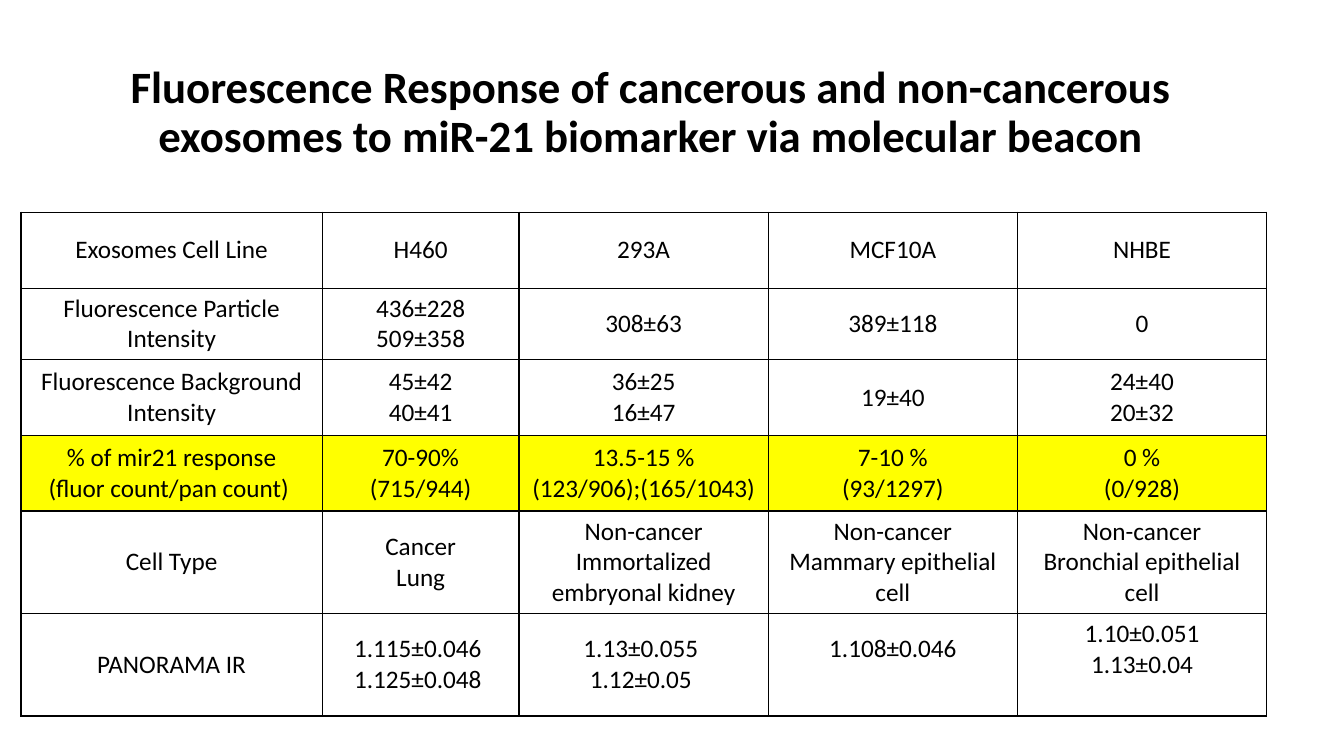
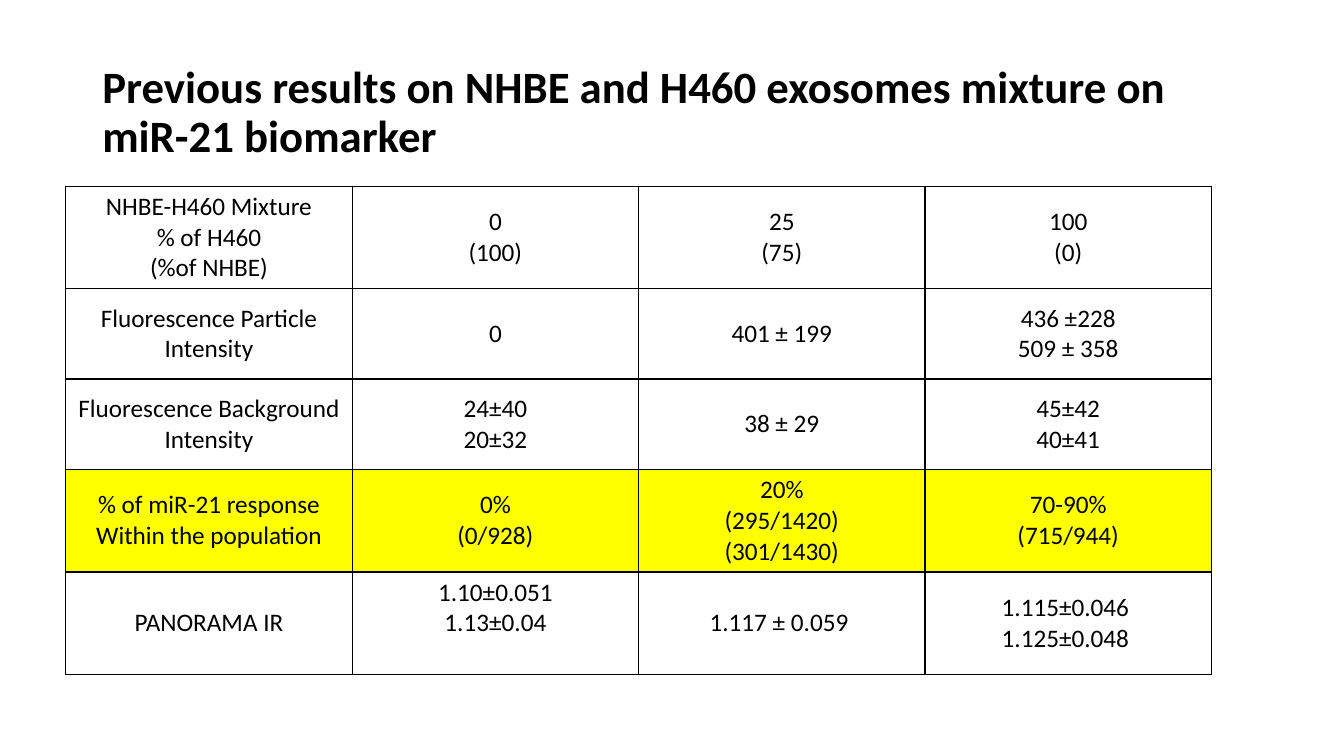
from lxml.etree import SubElement
from pptx import Presentation
from pptx.dml.color import RGBColor
from pptx.enum.text import MSO_ANCHOR, PP_ALIGN
from pptx.oxml.ns import qn
from pptx.util import Pt

COLORS = {"text": "000000", "border": "000000", "cell": "FFFFFF", "highlight": "FFFF00"}
FONT = "Calibri"
CELL_MARGIN = 3.6
CELL_LINE = 22
HIGHLIGHT_ROW = 3

EXOSOME_ROWS = [
    ["Exosomes Cell Line", "H460", "293A", "MCF10A", "NHBE"],
    ["Fluorescence Particle\nIntensity", "436±228\n509±358", "308±63", "389±118", "0"],
    ["Fluorescence Background\nIntensity", "45±42\n40±41", "36±25\n16±47", "19±40", "24±40\n20±32"],
    ["% of mir21 response\n(fluor count/pan count) ", "70-90%\n(715/944)",
     "13.5-15 %\n(123/906);(165/1043)", "7-10 %\n(93/1297)", "0 %\n(0/928)"],
    ["Cell Type", "Cancer\nLung", "Non-cancer\nImmortalized embryonal kidney",
     "Non-cancer\nMammary epithelial cell", "Non-cancer\nBronchial epithelial cell"],
    ["PANORAMA IR", "1.115±0.046 \n1.125±0.048 ", "1.13±0.055 \n1.12±0.05 ",
     "1.108±0.046", "1.10±0.051\n1.13±0.04"],
]
MIXTURE_ROWS = [
    ["NHBE-H460 Mixture\n% of H460\n(%of NHBE)", "0\n(100)", "25\n(75)", "100\n(0)"],
    ["Fluorescence Particle\nIntensity", "0", "401 ± 199", "436 ±228\n509 ± 358"],
    ["Fluorescence Background\nIntensity", "24±40\n20±32", "38 ± 29", "45±42\n40±41"],
    ["% of miR-21 response\nWithin the population", "0%\n(0/928)",
     "20%\n(295/1420)\n(301/1430)", "70-90%\n(715/944)"],
    ["PANORAMA IR", "1.10±0.051\n1.13±0.04", "1.117 ± 0.059 ", "1.115±0.046 \n1.125±0.048 "],
]


def color(name):
    """Return the named colour of the deck."""
    return RGBColor.from_string(COLORS[name])


def style_paragraph(para, size, bold, align):
    """Apply the deck's font and an alignment to a paragraph."""
    para.alignment = align
    para.font.name = FONT
    para.font.size = Pt(size)
    para.font.bold = bold
    para.font.color.rgb = color("text")


def add_title(page, left, text, align):
    """Place the bold slide title in its band."""
    box = page.shapes.add_textbox(Pt(left), Pt(28.8), Pt(828), Pt(104.4))
    frame = box.text_frame
    frame.word_wrap = True
    frame.vertical_anchor = MSO_ANCHOR.MIDDLE
    frame.text = text
    para = frame.paragraphs[0]
    style_paragraph(para, 32, True, align)
    para.line_spacing = 0.9


def add_borders(cell):
    """Draw a thin line on all four sides of a cell."""
    properties = cell._tc.get_or_add_tcPr()
    for position, side in enumerate(("lnL", "lnR", "lnT", "lnB")):
        line = SubElement(properties, qn(f"a:{side}"), w=str(Pt(1)))
        properties.insert(position, line)
        fill = SubElement(line, qn("a:solidFill"))
        SubElement(fill, qn("a:srgbClr"), val=COLORS["border"])


def fill_cell(cell, text, fill, raised):
    """Write centred text in a bordered cell, raised by half a line if asked."""
    cell.fill.solid()
    cell.fill.fore_color.rgb = color(fill)
    add_borders(cell)
    cell.vertical_anchor = MSO_ANCHOR.MIDDLE
    cell.margin_top = Pt(CELL_MARGIN)
    cell.margin_bottom = Pt(CELL_MARGIN + (CELL_LINE if raised else 0))
    cell.text = text
    for para in cell.text_frame.paragraphs:
        style_paragraph(para, 18, False, PP_ALIGN.CENTER)


def add_results(page, left, top, widths, heights, rows, raised):
    """Place a results table with one highlighted row."""
    frame = page.shapes.add_table(len(rows), len(widths), Pt(left), Pt(top),
                                  Pt(sum(widths)), Pt(sum(heights)))
    table = frame.table
    table.first_row = table.horz_banding = False
    for column, width in zip(table.columns, widths):
        column.width = Pt(width)
    for r, (values, height) in enumerate(zip(rows, heights)):
        table.rows[r].height = Pt(height)
        fill = "highlight" if r == HIGHLIGHT_ROW else "cell"
        for c, text in enumerate(values):
            fill_cell(table.cell(r, c), text, fill, (r, c) in raised)


def main():
    """Build and save the deck."""
    deck = Presentation()
    deck.slide_width, deck.slide_height = Pt(960), Pt(540)
    blank = deck.slide_layouts[6]

    page = deck.slides.add_slide(blank)
    add_title(page, 51, "Fluorescence Response of cancerous and non-cancerous "
              "exosomes to miR-21 biomarker via molecular beacon", PP_ALIGN.CENTER)
    add_results(page, 15, 151.6, [215.2, 140.6] + [178] * 3,
                [54.2, 51.2, 54, 54, 73.2, 73.2], EXOSOME_ROWS, {(5, 3), (5, 4)})

    page = deck.slides.add_slide(blank)
    add_title(page, 66, "Previous results on NHBE and H460 exosomes mixture on "
              "miR-21 biomarker", PP_ALIGN.LEFT)
    add_results(page, 47, 133, [204.6] * 4,
                [73.2, 64.6, 64.6, 73.2, 73.2], MIXTURE_ROWS, {(4, 1)})

    deck.save("out.pptx")


if __name__ == "__main__":
    main()
